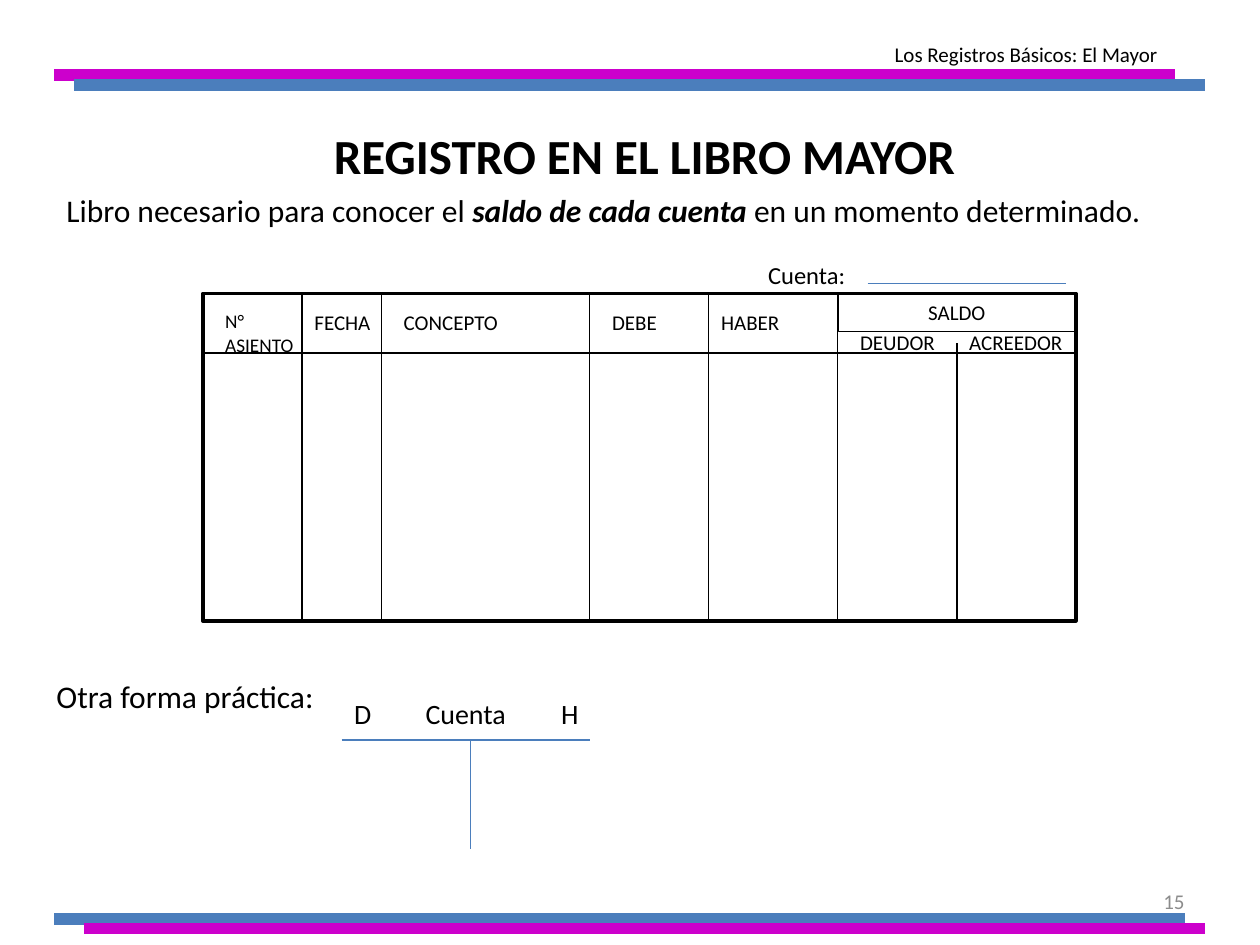
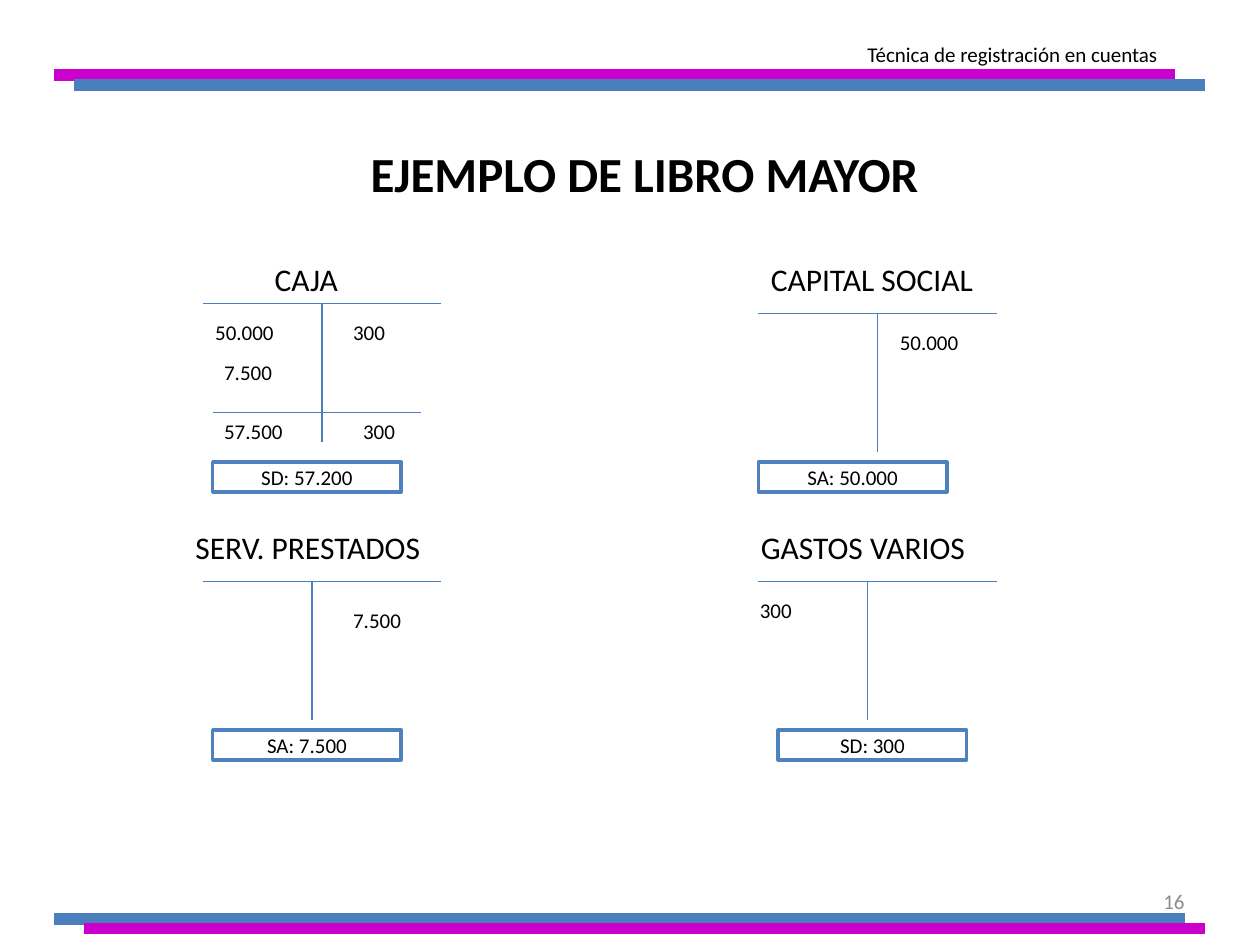
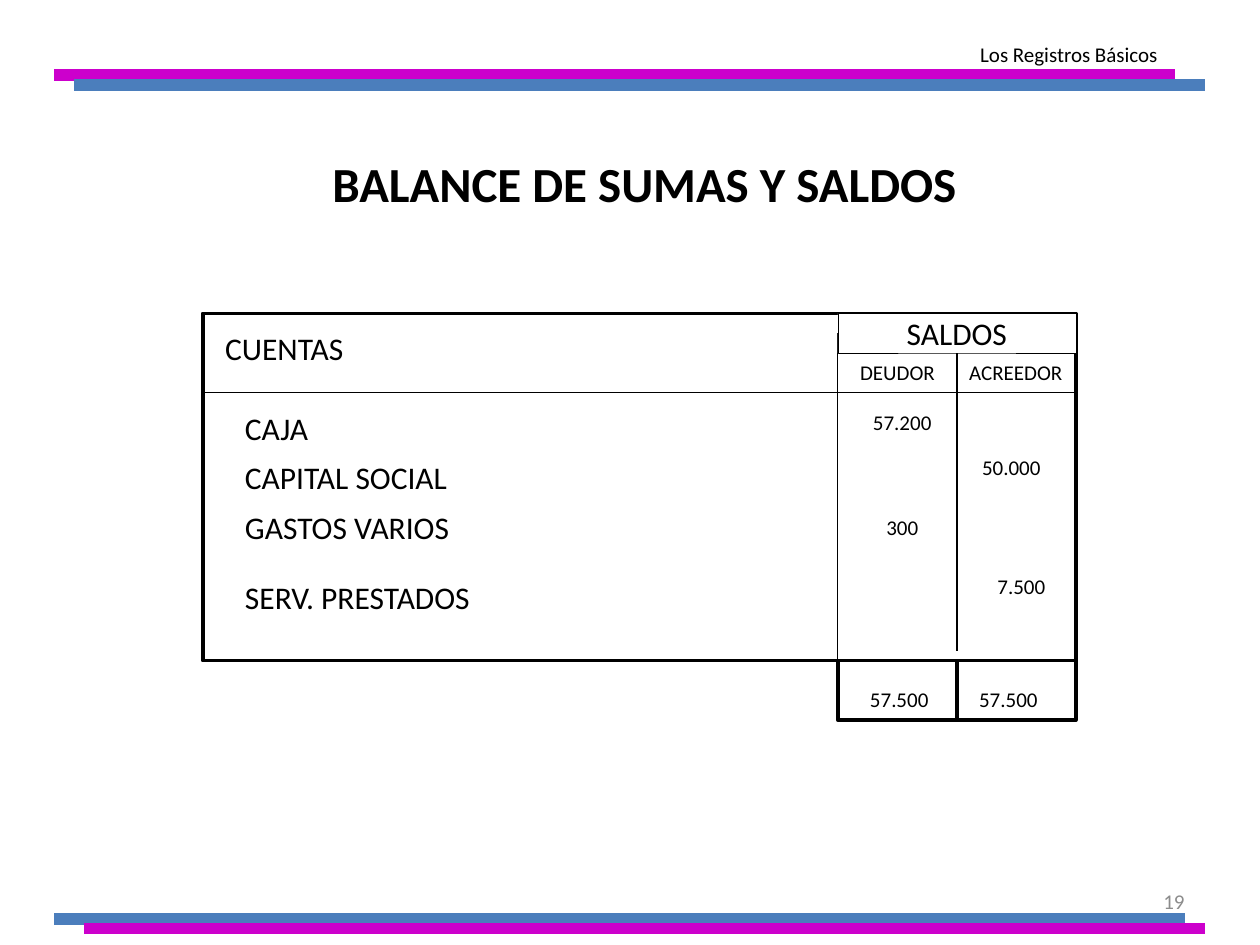
from itertools import accumulate

from lxml.etree import SubElement
from pptx import Presentation
from pptx.dml.color import RGBColor
from pptx.enum.shapes import MSO_CONNECTOR as Connector, MSO_SHAPE as Shape
from pptx.enum.text import MSO_ANCHOR as Anchor, PP_ALIGN as Align
from pptx.oxml.ns import qn
from pptx.util import Inches, Mm, Pt

# Shared look
FONT = "Calibri"
BLACK, WHITE, GRAY = "000000", "FFFFFF", "8C8C8C"
MAGENTA, BLUE, BOX_BLUE = "CC00CC", "4B7EBC", "4F81BD"

# Grid of 2 mm steps; its origin is the top left corner of the ledger
STEP = Mm(2)
ORIGIN_X, ORIGIN_Y = Inches(1.61), Inches(2.33)

# Bands: row, first column, last column, colour
BANDS = [(-22, -15, 98, MAGENTA), (-21, -13, 101, BLUE),
         (63, -15, 99, BLUE), (64, -12, 101, MAGENTA)]

# Column edges of the ledger, shared with the balance
LEDGER_EDGES = list(accumulate([10, 8, 21, 12, 13, 12, 12], initial=0))
DEBTOR, CREDITOR, LEDGER_END = LEDGER_EDGES[5:]


def rgb(color):
    return RGBColor.from_string(color)


def col(n):
    return int(ORIGIN_X + n * STEP)


def row(n):
    return int(ORIGIN_Y + n * STEP)


def area(left, top, width, height):
    return col(left), row(top), int(width * STEP), int(height * STEP)


def style(paragraph, size, color=BLACK, align=Align.LEFT, bold=False):
    paragraph.alignment = align
    font = paragraph.font
    font.name, font.size, font.bold = FONT, Pt(size), bold
    font.color.rgb = rgb(color)


def label(slide, text, left, top, width=28, height=4, size=12,
          color=BLACK, align=Align.LEFT, anchor=Anchor.TOP):
    frame = slide.shapes.add_textbox(*area(left, top, width, height)).text_frame
    frame.word_wrap = True
    frame.vertical_anchor = anchor
    paragraph = frame.paragraphs[0]
    paragraph.text = text
    style(paragraph, size, color, align)
    return paragraph


def rule(slide, x1, y1, x2, y2, color=BLACK, weight=0.75):
    line = slide.shapes.add_connector(
        Connector.STRAIGHT, col(x1), row(y1), col(x2), row(y2))
    line.line.color.rgb = rgb(color)
    line.line.width = Pt(weight)
    SubElement(line._element.spPr, qn("a:effectLst"))


def box(slide, left, top, width, height, text="", size=12,
        border=BLACK, weight=2.0, fill=WHITE):
    rect = slide.shapes.add_shape(Shape.RECTANGLE, *area(left, top, width, height))
    rect.shadow.inherit = False
    if fill:
        rect.fill.solid()
        rect.fill.fore_color.rgb = rgb(fill)
    else:
        rect.fill.background()
    if border:
        rect.line.color.rgb = rgb(border)
        rect.line.width = Pt(weight)
    else:
        rect.line.fill.background()
    if text:
        rect.text_frame.vertical_anchor = Anchor.MIDDLE
        paragraph = rect.text_frame.paragraphs[0]
        paragraph.text = text
        style(paragraph, size, align=Align.CENTER)


def new_slide(prs, title, title_top, title_height, topic, number):
    slide = prs.slides.add_slide(prs.slide_layouts[5])
    label(slide, number, 70.2, 58.7, 30, 5, color=GRAY,
          align=Align.RIGHT, anchor=Anchor.MIDDLE)
    for band_row, start, end, color in BANDS:
        rule(slide, start, band_row, end, band_row, color, 6.75)
    heading = slide.shapes.title
    heading.left, heading.top, heading.width, heading.height = area(
        -10, title_top, 109, title_height)
    heading.text_frame.text = title
    heading.text_frame.vertical_anchor = Anchor.MIDDLE
    style(heading.text_frame.paragraphs[0], 28, align=Align.CENTER, bold=True)
    label(slide, topic, 34, -26, 63.5, align=Align.RIGHT)
    return slide


def t_lines(slide, left, top, width, stem, height):
    rule(slide, left, top, left + width, top, BLUE)
    rule(slide, left + stem, top, left + stem, top + height, BLUE)


def account(slide, left, top, stem, name, name_at, entries, balance, balance_at):
    """T account; places of its parts are steps from its top left corner."""
    t_lines(slide, left, top, 24, stem, 14)
    for text, (dx, dy), size in [(name, name_at, 18)] + [(t, at, 12) for t, at in entries]:
        label(slide, text, left + dx, top + dy, size=size)
    dx, dy = balance_at
    box(slide, left + dx, top + dy, 19, 3, balance, border=BOX_BLUE)


def saldo_headings(slide, top):
    label(slide, "DEUDOR", DEBTOR + 1, top, 11)
    label(slide, "ACREEDOR", CREDITOR, top, 13)


def ledger_slide(prs):
    slide = new_slide(prs, "REGISTRO EN EL LIBRO MAYOR", -19, 10,
                      "Los Registros Básicos: El Mayor", "15")
    # Purpose of the ledger
    purpose = label(slide, "", -15, -11, 115, 5, size=18)
    for text, strong in [("Libro necesario para conocer el ", False),
                         ("saldo de cada cuenta ", True),
                         ("en un momento determinado.", False)]:
        run = purpose.add_run()
        run.text = text
        run.font.bold = run.font.italic = strong

    # Ledger form
    box(slide, 0, 0, LEDGER_END, 33)
    for edge in LEDGER_EDGES[1:-1]:
        rule(slide, edge, 5 if edge == CREDITOR else 0, edge, 33)
    rule(slide, 0, 6, LEDGER_END, 6)
    label(slide, "N° ASIENTO", 1, 1, 10, 6, size=11)
    for text, left, width in [("FECHA", 10, 9), ("CONCEPTO", 19, 16),
                              ("DEBE", 40, 11), ("HABER", 51, 13)]:
        label(slide, text, left, 1, width)
    box(slide, DEBTOR, 0, LEDGER_END - DEBTOR, 3.8, "SALDO", weight=0.25, fill=None)
    saldo_headings(slide, 3)
    label(slide, "Cuenta:", 45, -4, 21, size=14, align=Align.RIGHT)
    rule(slide, 67, -1, 87, -1, BLUE)

    # Practical T form
    label(slide, "Otra forma práctica:", -16, 38, 115, 9, size=18)
    t_lines(slide, 14, 45, 25, 13, 11)
    for text, left, width in [("D", 14, 4), ("Cuenta", 19, 15), ("H", 34, 6)]:
        label(slide, text, left, 40, width, 5, size=16, align=Align.CENTER)


def accounts_slide(prs):
    slide = new_slide(prs, "EJEMPLO DE LIBRO MAYOR", -18, 11.7,
                      "Técnica de registración en cuentas", "16")
    account(slide, 0, 1, 12, "CAJA", (6, -5),
            [("50.000", (0, 1)), ("7.500", (0.9, 5)), ("300", (13.9, 1)),
             ("57.500", (0.9, 11)), ("300", (14.9, 11))],
            "SD: 57.200", (1, 16))
    rule(slide, 1, 12, 22, 12, BLUE)
    account(slide, 56, 2, 12, "CAPITAL SOCIAL", (0, -6),
            [("50.000", (13, 1))], "SA: 50.000", (0, 15))
    account(slide, 0, 29, 11, "SERV. PRESTADOS", (-2, -6),
            [("7.500", (13.9, 2))], "SA: 7.500", (1, 15))
    account(slide, 56, 29, 11, "GASTOS VARIOS", (-1, -6),
            [("300", (-1.1, 1))], "SD: 300", (2, 15))


def balance_slide(prs):
    slide = new_slide(prs, "BALANCE DE SUMAS Y SALDOS", -17, 11.7,
                      "Los Registros Básicos", "19")
    # Frame and headings
    box(slide, 0, 2, LEDGER_END, 35)
    rule(slide, DEBTOR, 4, DEBTOR, 37)
    rule(slide, CREDITOR, 6, CREDITOR, 36)
    rule(slide, 0, 10, LEDGER_END, 10)
    label(slide, "CUENTAS", 1, 3, size=18)
    saldo_headings(slide, 6)
    box(slide, DEBTOR, 2, LEDGER_END - DEBTOR, 4, "SALDOS", 18, weight=0.25)

    # Account, its row, amount, place and height of the amount
    for name, name_row, amount, left, top, height in [
            ("CAJA", 11, "57.200", 66, 11, 4),
            ("CAPITAL SOCIAL", 16, "50.000", 77, 16, 3),
            ("GASTOS VARIOS", 21, "300", 66, 22, 3),
            ("SERV. PRESTADOS", 28, "7.500", 78, 28, 3)]:
        label(slide, name, 3, name_row, size=18)
        box(slide, left, top, 9, height, amount, border=None)

    # Totals
    for edge, text_left in [(DEBTOR, 66), (CREDITOR, 77)]:
        box(slide, edge, 37, 12, 6)
        label(slide, "57.500", text_left, 39, 10)


def main():
    prs = Presentation()
    prs.slide_width, prs.slide_height = Inches(10), Inches(7.5)
    ledger_slide(prs)
    accounts_slide(prs)
    balance_slide(prs)
    prs.save("out.pptx")


if __name__ == "__main__":
    main()
